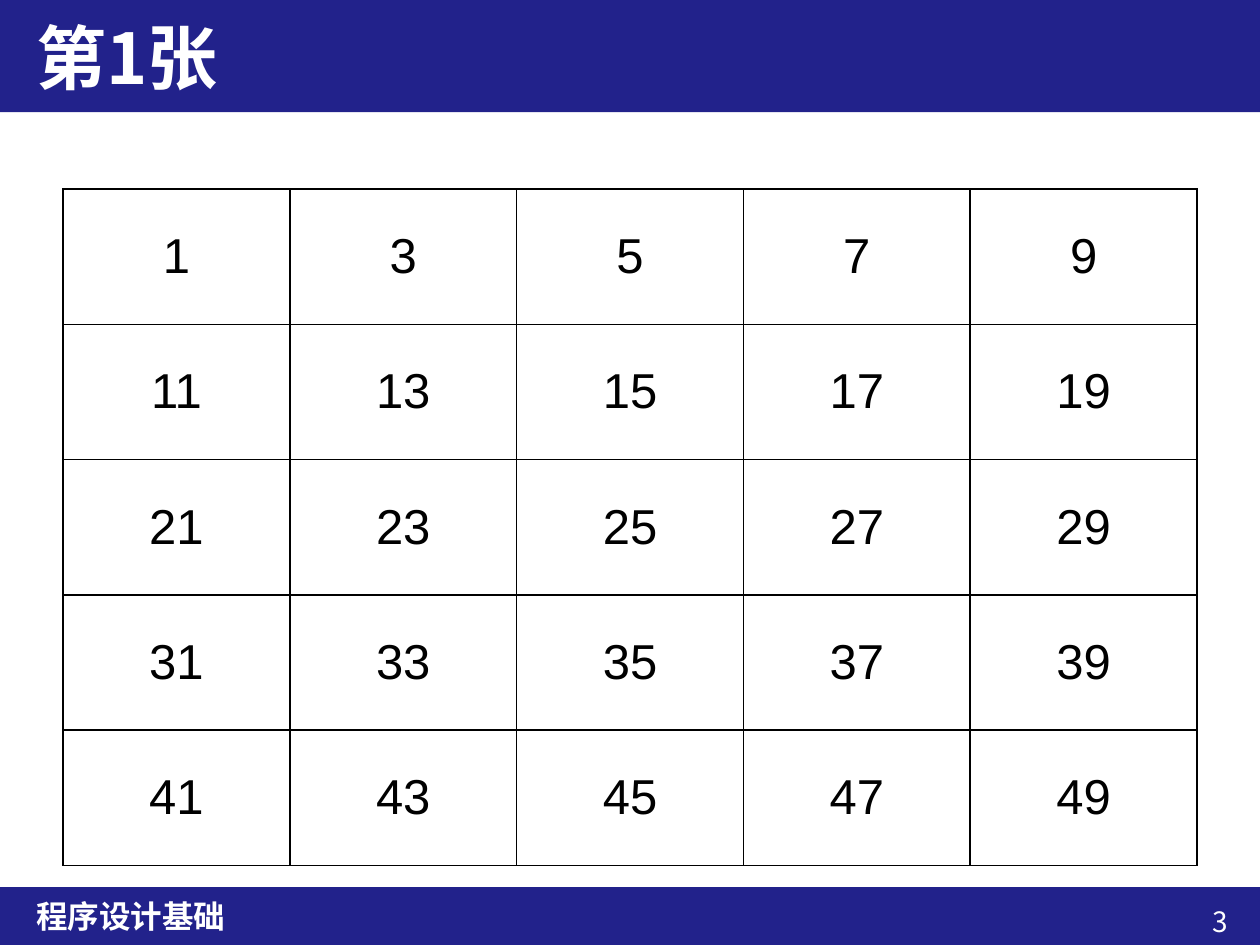
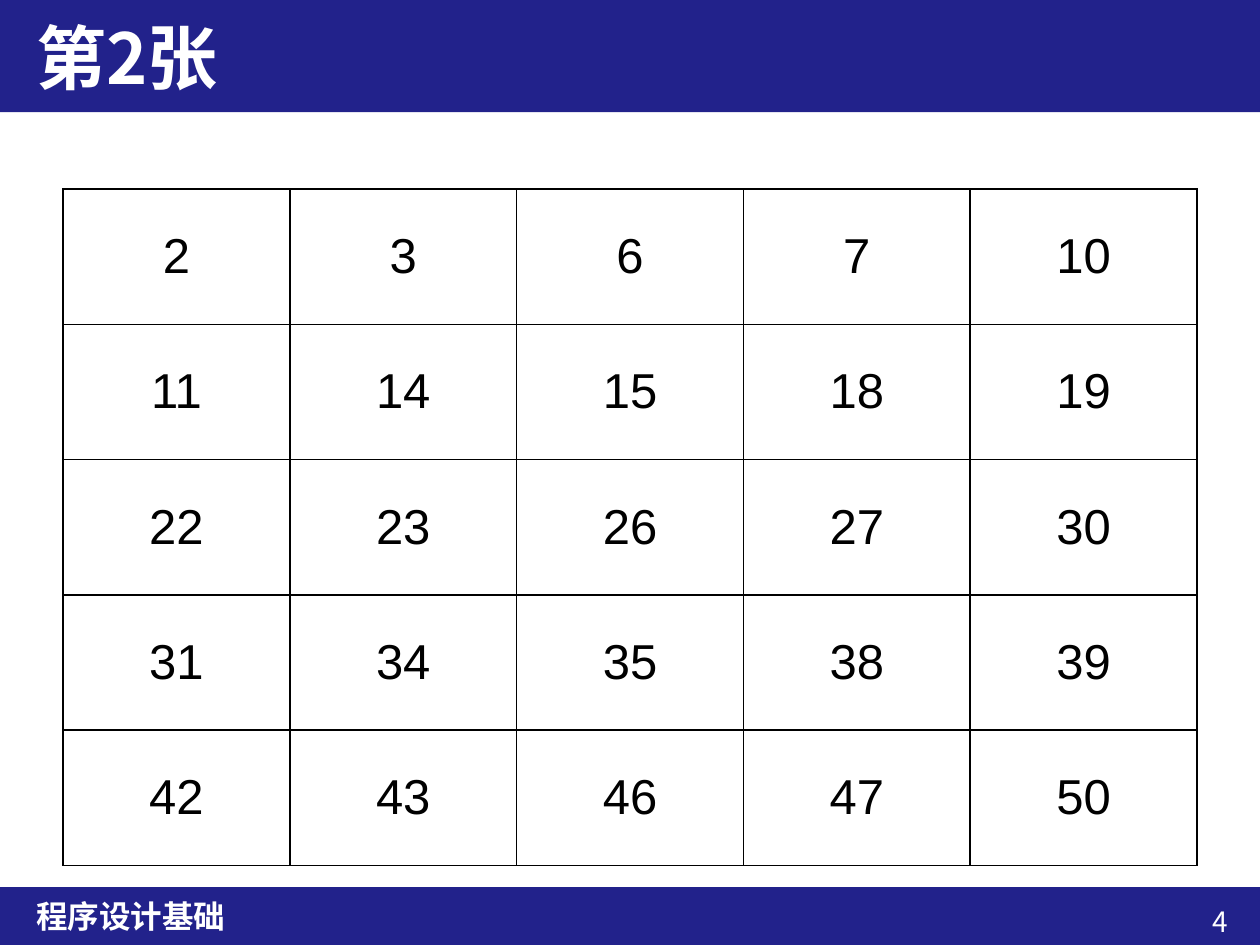
"""Build two number cards, each listing the numbers that contain one binary bit."""
from lxml import etree
from pptx import Presentation
from pptx.dml.color import RGBColor
from pptx.enum.shapes import MSO_SHAPE
from pptx.enum.text import MSO_ANCHOR, PP_ALIGN
from pptx.oxml.ns import qn
from pptx.util import Inches, Pt

RECTANGLE = MSO_SHAPE.RECTANGLE
TOP, MIDDLE = MSO_ANCHOR.TOP, MSO_ANCHOR.MIDDLE
LEFT, CENTER, RIGHT = PP_ALIGN.LEFT, PP_ALIGN.CENTER, PP_ALIGN.RIGHT

CARDS = [
    {"title": "第1张", "bit": 1, "page": "3"},
    {"title": "第2张", "bit": 2, "page": "4"},
]
FOOTER = "程序设计基础"
LARGEST = 50
GRID = 5

COLORS = {"band": "22228B", "light": "FFFFFF", "ink": "000000"}
HEADING_FONT, NUMBER_FONT = "Noto Sans CJK SC", "Arial"

TITLE_BAND = (-0.01, 0, 10.01, 0.89)
FOOTER_BAND = (-0.01, 7.04, 10.01, 0.46)
TITLE_BOX = (0.19, 0, 9.6, 0.89)
FOOTER_BOX = (0.19, 7.04, 9.6, 0.46)
PAGE_BOX = (8.59, 7.13, 1.25, 0.37)
TABLE_BOX = (0.5, 1.5, 9, 5.37)


def inches(box):
    return [Inches(length) for length in box]


def write(frame, text, size, font, color, bold=False, align=LEFT):
    paragraph = frame.paragraphs[0]
    paragraph.alignment = align
    run = paragraph.add_run()
    run.text = text
    run.font.size = Pt(size)
    run.font.name = font
    run.font.bold = bold
    run.font.color.rgb = RGBColor.from_string(COLORS[color])
    east_asian = etree.SubElement(run.font._element, qn("a:ea"))
    east_asian.set("typeface", font)


def add_band(slide, box):
    band = slide.shapes.add_shape(RECTANGLE, *inches(box))
    band.shadow.inherit = False
    band.fill.solid()
    band.fill.fore_color.rgb = RGBColor.from_string(COLORS["band"])
    band.line.fill.background()


def add_label(slide, box, text, size, bold=True, align=LEFT, anchor=MIDDLE):
    frame = slide.shapes.add_textbox(*inches(box)).text_frame
    frame.word_wrap = True
    frame.vertical_anchor = anchor
    write(frame, text, size, HEADING_FONT, "light", bold, align)


def add_borders(cell):
    properties = cell._tc.get_or_add_tcPr()
    for side in ("lnL", "lnR", "lnT", "lnB"):
        line = etree.SubElement(properties, qn(f"a:{side}"), w=str(Pt(1)))
        fill = etree.SubElement(line, qn("a:solidFill"))
        etree.SubElement(fill, qn("a:srgbClr"), val=COLORS["ink"])


def add_number_table(slide, numbers):
    table = slide.shapes.add_table(GRID, GRID, *inches(TABLE_BOX)).table
    table.first_row = False
    table.horz_banding = False
    for cell, number in zip(table.iter_cells(), numbers):
        cell.vertical_anchor = MIDDLE
        add_borders(cell)
        cell.fill.background()
        write(cell.text_frame, str(number), 28, NUMBER_FONT, "ink", align=CENTER)


def add_card(presentation, card):
    slide = presentation.slides.add_slide(presentation.slide_layouts[6])
    add_band(slide, FOOTER_BAND)
    add_label(slide, PAGE_BOX, card["page"], 16, bold=False, align=RIGHT, anchor=TOP)
    add_label(slide, FOOTER_BOX, FOOTER, 18)
    add_band(slide, TITLE_BAND)
    add_label(slide, TITLE_BOX, card["title"], 40)
    numbers = [n for n in range(1, LARGEST + 1) if n & card["bit"]]
    add_number_table(slide, numbers)


presentation = Presentation()
presentation.slide_width, presentation.slide_height = Inches(10), Inches(7.5)
for card in CARDS:
    add_card(presentation, card)
presentation.save("out.pptx")
